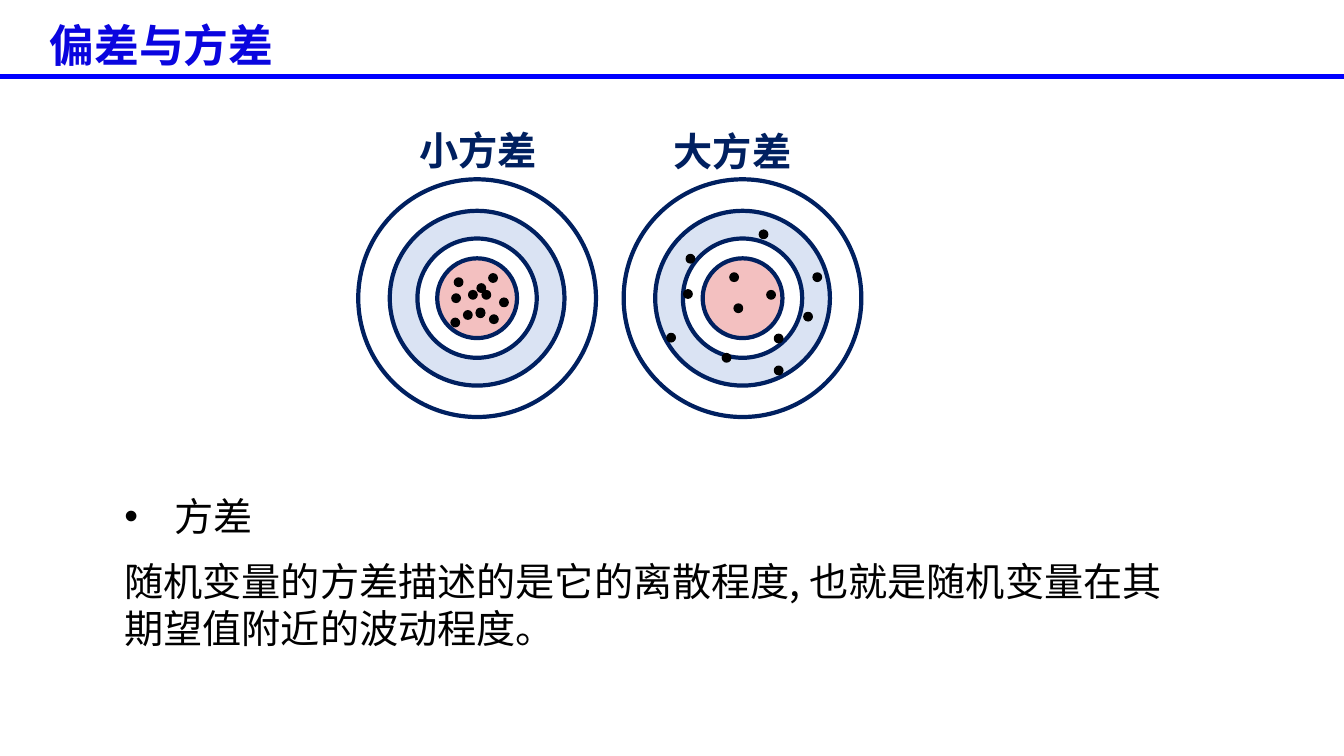
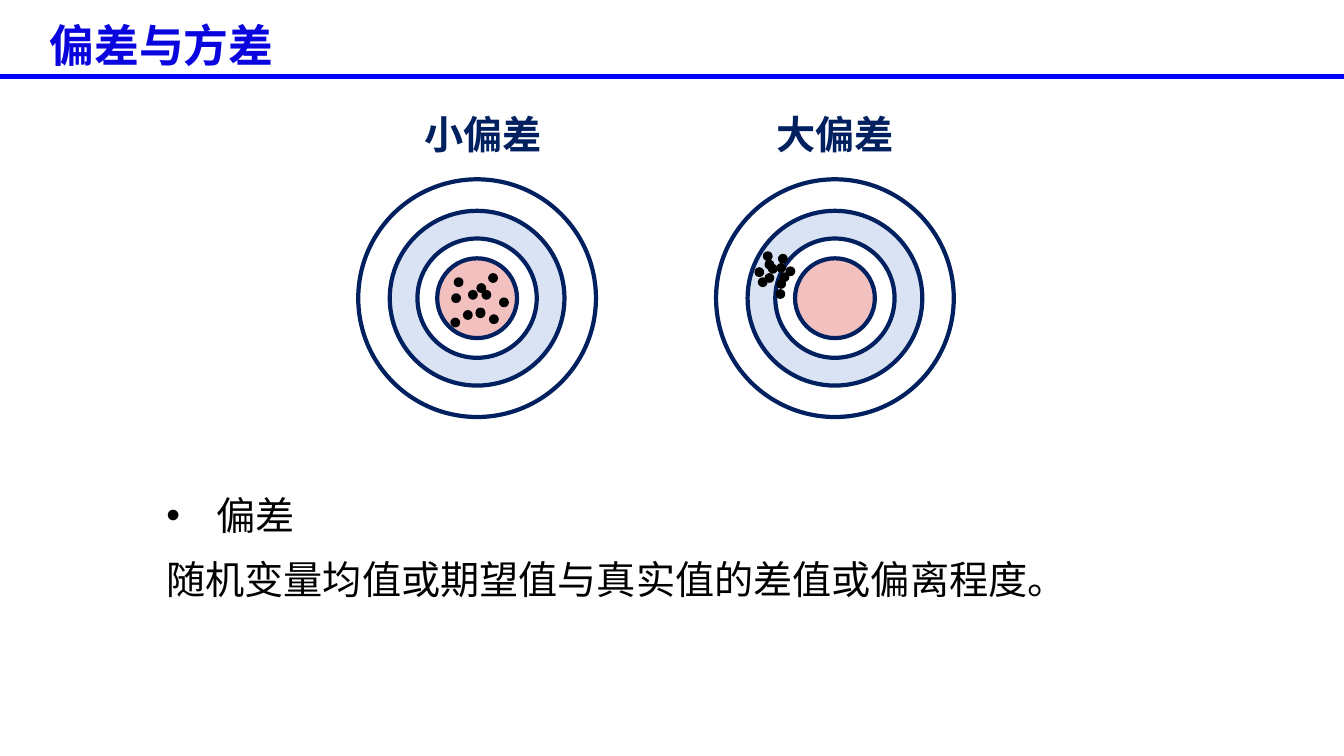
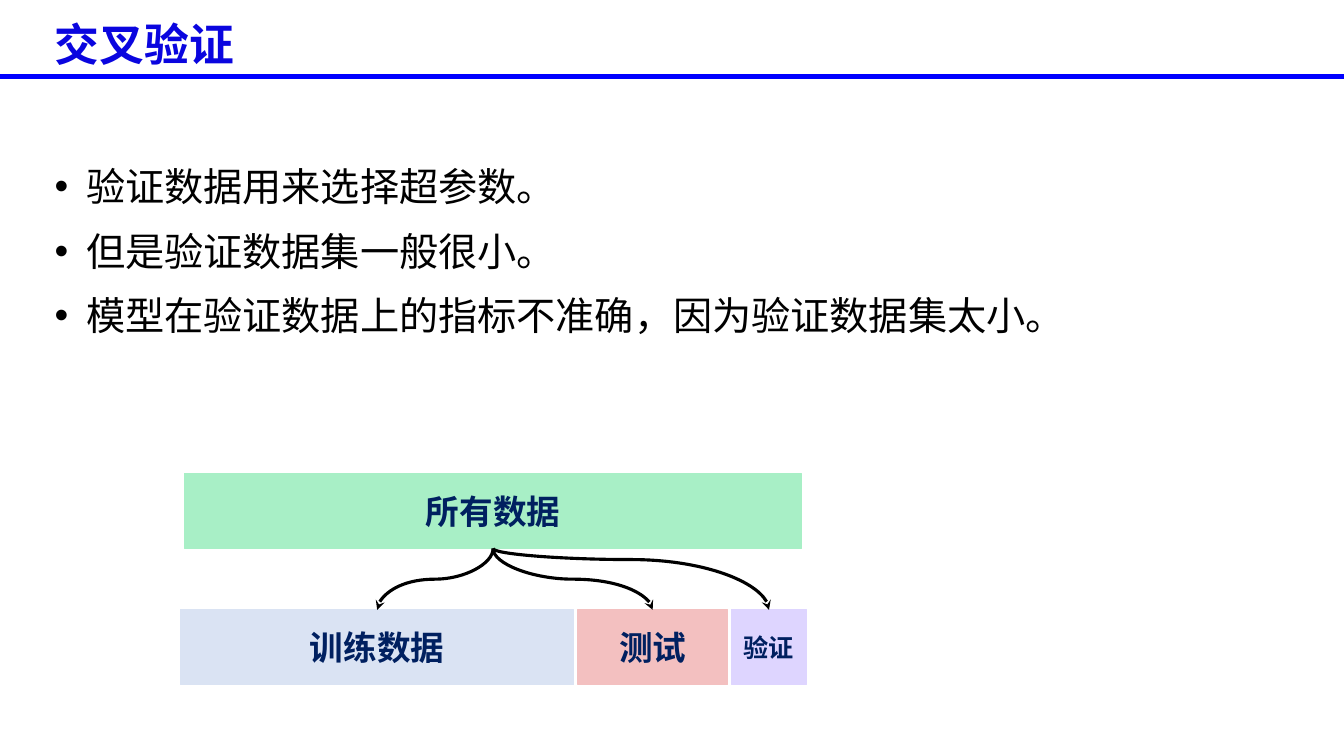
from lxml.etree import SubElement
from pptx import Presentation
from pptx.dml.color import RGBColor
from pptx.enum.shapes import MSO_CONNECTOR, MSO_SHAPE
from pptx.enum.text import MSO_ANCHOR, MSO_AUTO_SIZE, PP_ALIGN
from pptx.oxml.ns import qn
from pptx.util import Inches, Pt


class Theme:
    face, cjk = "Calibri", "Noto Sans CJK SC"
    head, text, box, small = 32, 28, 24, 18
    lead, gap = 1.22, 12
    title, rule, navy, black = "0A05DF", "0000FF", "002060", "000000"
    blue, white, pink, green, mauve = "DAE3F3", "FFFFFF", "F3C0C0", "A8EFC6", "DED5FF"


CELL = Inches(1) // 12
COLS, ROWS = 160, 90


def write(shape, lines, size, color, bold=False, face=Theme.cjk, align=PP_ALIGN.LEFT,
          anchor=MSO_ANCHOR.TOP, wrap=True):
    frame = shape.text_frame
    look = dict(auto_size=MSO_AUTO_SIZE.NONE, word_wrap=wrap, vertical_anchor=anchor)
    for key, value in look.items():
        setattr(frame, key, value)
    for n, (text, dent) in enumerate(lines):
        para = frame.paragraphs[0] if n == 0 else frame.add_paragraph()
        props = para._p.get_or_add_pPr()
        props.set("marL", str(round(dent * CELL)))
        props.set("indent", str(round(-dent * CELL)))
        if dent:
            SubElement(props, qn("a:buFont"), typeface="Arial")
            SubElement(props, qn("a:buChar"), char="•")
        else:
            SubElement(props, qn("a:buNone"))
        form = dict(alignment=align, line_spacing=Pt(round(size * Theme.lead)),
                    space_before=Pt(Theme.gap if n else 0), space_after=Pt(0))
        for key, value in form.items():
            setattr(para, key, value)
        run = para.add_run()
        run.text = text
        for key, value in dict(size=Pt(size), bold=bold, name=face).items():
            setattr(run.font, key, value)
        run.font.color.rgb = RGBColor.from_string(color)
        SubElement(run._r.get_or_add_rPr(), qn("a:ea"), typeface=Theme.cjk)


def draw(shapes, kind, area, fill, edge, width):
    shape = shapes.add_shape(kind, *[round(v * CELL) for v in area])
    shape.shadow.inherit = False
    if fill:
        shape.fill.solid()
        shape.fill.fore_color.rgb = RGBColor.from_string(fill)
    else:
        shape.fill.background()
    shape.line.color.rgb = RGBColor.from_string(edge)
    shape.line.width = Pt(width)
    return shape


RINGS = [(28.3, None), (20.8, Theme.blue), (14.2, Theme.white), (9.5, Theme.pink)]
MID = 35.5
TIGHT = [(-2.2, -1.9), (-0.5, -0.4), (-2.5, 0), (1.1, -0.4), (2, 2.5), (1.9, -2.4),
         (-1.1, 2), (3.2, 0.5), (0.4, 1.8), (0.5, -1.2), (-2.6, 2.9), (0.4, 1.7)]
WIDE = [(-1, -2.5), (2.5, -7.6), (4.3, 4.8), (-8.5, 4.7), (3.4, -0.4), (-6.2, -4.7),
        (-1.9, 7.1), (8.9, -2.5), (-0.5, 1.2), (4.3, 8.6), (7.8, 2.2), (-6.5, -0.5)]
STRAY = [(-8, -5), (-7.8, -4), (-8.6, -1.9), (-7.8, -2.4), (-5.3, -3.2), (-6.2, -4.7),
         (-6, -2.5), (-6.4, -3.6), (-9, -3.1), (-7.4, -3.5), (-6.4, -1.7), (-6.5, -0.5)]

PAGES = [
    dict(title="偏差与方差", head=(4.7, 1.4), area=(13.6, 58, 126.4, 20.2),
         lines=[("方差", 6),
                ("随机变量的方差描述的是它的离散程度, 也就是随机变量在其期望值附近的波动程度。", 0)],
         goals=[("小方差", 56.9, 14.4, 56.8, TIGHT), ("大方差", 87.2, 14.5, 88.4, WIDE)]),
    dict(title="偏差与方差", head=(4.7, 1.4), area=(18.6, 57.8, 119.3, 14.5),
         lines=[("偏差", 6), ("随机变量均值或期望值与真实值的差值或偏离程度。", 0)],
         goals=[("小偏差", 57.5, 12.5, 56.8, TIGHT), ("大偏差", 99.4, 12.5, 99.4, STRAY)]),
    dict(title="交叉验证", head=(5.3, 1.3), area=(5.3, 18.7, 152.9, 22.2),
         lines=[("验证数据用来选择超参数。", 3.75), ("但是验证数据集一般很小。", 3.75),
                ("模型在验证数据上的指标不准确，因为验证数据集太小。", 3.75)],
         goals=[]),
]

deck = Presentation()
deck.slide_width, deck.slide_height = COLS * CELL, ROWS * CELL

for page in PAGES:
    slide = deck.slides.add_slide(deck.slide_layouts[1])
    title, body = slide.shapes.title, slide.placeholders[1]
    for shape, area in ((title, (*page["head"], 100, 7.7)), (body, page["area"])):
        for key, value in zip(("left", "top", "width", "height"), area):
            setattr(shape, key, round(value * CELL))
    write(title, [(page["title"], 0)], Theme.head, Theme.title, True, Theme.face)
    write(body, page["lines"], Theme.text, Theme.black)

    for name, x, top, mid, dots in page["goals"]:
        group = slide.shapes.add_group_shape()
        for size, fill in RINGS:
            draw(group.shapes, MSO_SHAPE.OVAL, (mid - size / 2, MID - size / 2, size, size),
                 fill, Theme.navy, 3)
        for across, down in dots:
            draw(group.shapes, MSO_SHAPE.FLOWCHART_CONNECTOR,
                 (mid + across - 0.5, MID + down - 0.5, 1, 1), Theme.black, Theme.black, 1)
        label = slide.shapes.add_textbox(
            *[round(v * CELL) for v in (x - 8.35, top, 16.7, 6.8)])
        write(label, [(name, 0)], Theme.text, Theme.navy, True,
              align=PP_ALIGN.CENTER, wrap=False)

    rule = slide.shapes.add_connector(
        MSO_CONNECTOR.STRAIGHT, 0, round(9.1 * CELL), COLS * CELL, round(9.1 * CELL))
    rule.line.color.rgb = RGBColor.from_string(Theme.rule)
    rule.line.width = Pt(4)
    SubElement(rule._element.spPr, qn("a:effectLst"))

TALL, LOW, SPACE = 8.9, 72.6, 0.5
bars = [("所有数据", 22, 56.4, 73.4, Theme.green, Theme.box)]
left = 21.5
for name, wide, fill, size in (("训练数据", 46.8, Theme.blue, Theme.box),
                               ("测试", 17.8, Theme.pink, Theme.box),
                               ("验证", 8.9, Theme.mauve, Theme.small)):
    bars.append((name, left, LOW, wide, fill, size))
    left += wide + SPACE
for name, x, y, wide, fill, size in bars:
    bar = draw(slide.shapes, MSO_SHAPE.RECTANGLE, (x, y, wide, TALL), fill, fill, 1)
    write(bar, [(name, 0)], size, Theme.navy, True,
          align=PP_ALIGN.CENTER, anchor=MSO_ANCHOR.MIDDLE)

start, base = 22 + 73.4 / 2, 56.4 + TALL
drop = LOW - base
for (name, x, y, wide, fill, size), bend in zip(bars[1:], (50000, 50000, 18000)):
    end = x + wide / 2
    mid, span = (start + end) / 2, abs(end - start)
    right = end > start
    half = drop / 2 if right else -drop / 2
    level = base + drop / 2
    ends = (mid + half, level - span / 2, mid - half, level + span / 2)
    curve = slide.shapes.add_connector(MSO_CONNECTOR.CURVE, *[round(v * CELL) for v in ends])
    props = curve._element.spPr
    props.find(qn("a:xfrm")).set("rot", "16200000" if right else "5400000")
    SubElement(props.find(qn("a:prstGeom")).find(qn("a:avLst")), qn("a:gd"),
               name="adj1", fmla=f"val {bend}")
    curve.line.color.rgb = RGBColor.from_string(Theme.black)
    curve.line.width = Pt(2.25)
    SubElement(props.find(qn("a:ln")), qn("a:tailEnd"), type="stealth", w="med", len="med")
    SubElement(props, qn("a:effectLst"))

deck.save("out.pptx")
